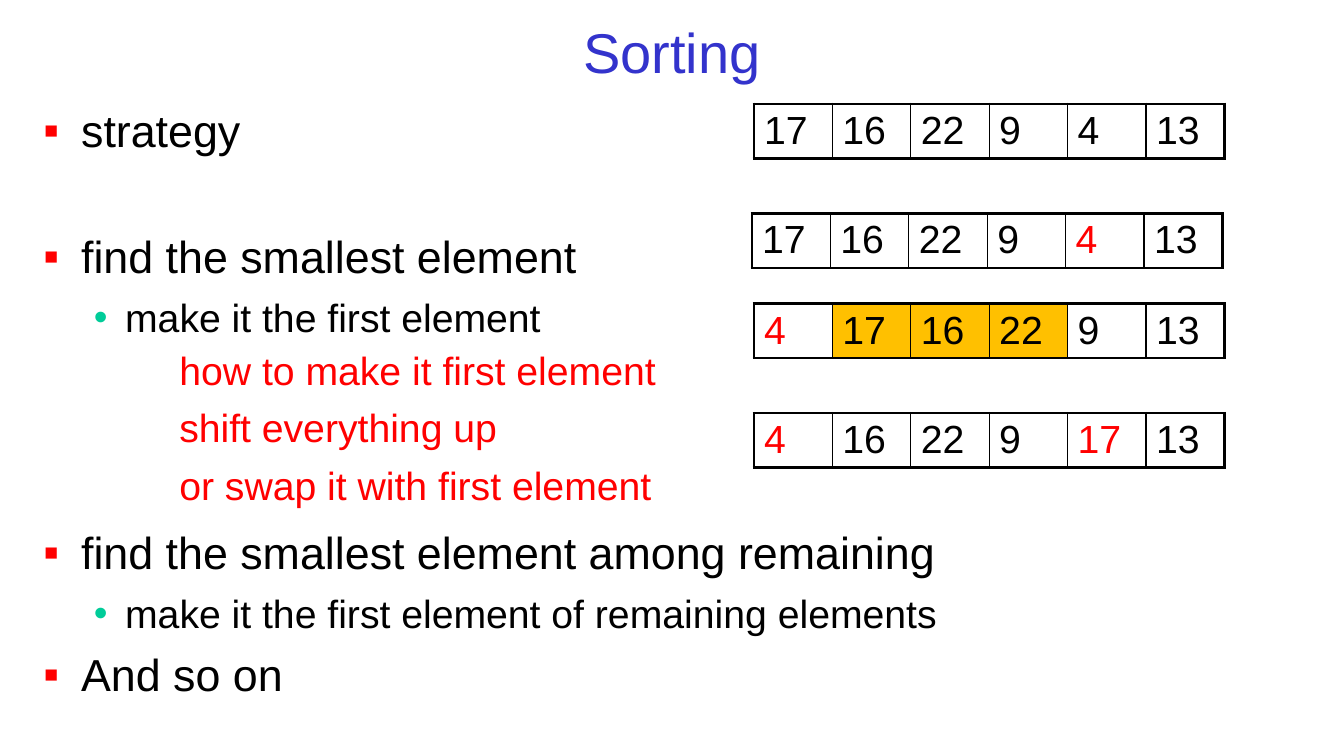
import dataclasses

import lxml.etree
import pptx
import pptx.dml.color
import pptx.enum.text
import pptx.oxml.ns
import pptx.util

Cm, Pt = pptx.util.Cm, pptx.util.Pt
qn = pptx.oxml.ns.qn


@dataclasses.dataclass(frozen=True)
class Theme:
    """Font, colours and type sizes of the slide."""
    face: str = "Arial"
    blue: str = "3333CC"
    black: str = "000000"
    red: str = "FF0000"
    green: str = "00CC99"
    gold: str = "FFC000"
    title: int = 40
    main: int = 32
    sub: int = 28


theme = Theme()


def style(para, size, tint):
    """Set the face, size and colour of a paragraph."""
    para.font.name = theme.face
    para.font.size = Pt(size)
    para.font.color.rgb = pptx.dml.color.RGBColor.from_string(tint)


def paint(node, tag, tint, **attrs):
    """Add a child holding a colour; a line gets a solid fill around it."""
    child = lxml.etree.SubElement(node, qn(tag), **attrs)
    if attrs:
        child = lxml.etree.SubElement(child, qn("a:solidFill"))
    lxml.etree.SubElement(child, qn("a:srgbClr"), val=tint)


deck = pptx.Presentation()
deck.slide_width, deck.slide_height = Cm(33.87), Cm(19.05)
slide = deck.slides.add_slide(deck.slide_layouts[1])

# Title
title = slide.shapes.title
title.left, title.top, title.width, title.height = Cm(0.84), Cm(0.43), Cm(32.18), Cm(1.7)
title.text_frame.text = "Sorting"
title.text_frame.vertical_anchor = pptx.enum.text.MSO_ANCHOR.MIDDLE
head = title.text_frame.paragraphs[0]
head.alignment = pptx.enum.text.PP_ALIGN.CENTER
style(head, theme.title, theme.blue)

# Bullet list: text, level, space before
steps = [
    ("strategy", 0, 0),
    ("find the smallest element", 0, 51.8),
    ("make it the first element", 1, 7.6),
    ("find the smallest element among remaining", 0, 131.6),
    ("make it the first element of remaining elements", 1, 7.6),
    ("And so on", 0, 7.6),
]
# Size, mark, mark colour, margin and hang of each level
levels = [
    (theme.main, "▪", theme.red, Cm(0.95), Cm(0.95)),
    (theme.sub, "•", theme.green, Cm(2.06), Cm(0.79)),
]
body = slide.placeholders[1]
body.left, body.top, body.width, body.height = Cm(0.84), Cm(2.34), Cm(32.18), Cm(15.42)
frame = body.text_frame
frame.auto_size = pptx.enum.text.MSO_AUTO_SIZE.NONE
frame.margin_top = Cm(0.25)
frame.text = "\n".join(text for text, level, gap in steps)
for para, (text, level, gap) in zip(frame.paragraphs, steps):
    size, mark, tint, margin, hang = levels[level]
    para.level = level
    para.space_before = Pt(gap)
    props = para._p.get_or_add_pPr()
    props.set("marL", str(margin))
    props.set("indent", str(-hang))
    paint(props, "a:buClr", tint)
    lxml.etree.SubElement(props, qn("a:buFont"), typeface=theme.face)
    lxml.etree.SubElement(props, qn("a:buChar"), char=mark)
    style(para, size, theme.black)

# Number rows: left, top, values, red columns, gold columns
rows = [
    (19, 2.62, (17, 16, 22, 9, 4, 13), (), ()),
    (18.95, 5.38, (17, 16, 22, 9, 4, 13), (4,), ()),
    (19, 7.65, (4, 17, 16, 22, 9, 13), (0,), (1, 2, 3)),
    (19, 10.41, (4, 16, 22, 9, 17, 13), (0, 4), ()),
]
thick, thin = Pt(2.25), Pt(1)
for left, top, values, reds, golds in rows:
    count = len(values)
    table = slide.shapes.add_table(
        1, count, Cm(left), Cm(top), Cm(11.86), Cm(1.37)).table
    table.first_row = table.horz_banding = False
    for col, value in enumerate(values):
        cell = table.cell(0, col)
        cell.text = str(value)
        style(cell.text_frame.paragraphs[0], theme.sub,
              theme.red if col in reds else theme.black)
        edges = {
            "a:lnL": thick if col == 0 else thin,
            "a:lnR": thick if col == count - 1 else thin,
            "a:lnT": thick,
            "a:lnB": thick,
        }
        for tag, width in edges.items():
            paint(cell._tc.get_or_add_tcPr(), tag, theme.black, w=str(width))
        if col in golds:
            cell.fill.solid()
            cell.fill.fore_color.rgb = pptx.dml.color.RGBColor.from_string(theme.gold)
        else:
            cell.fill.background()

# Red hints, evenly spaced
hints = [
    ("how to make it first element", 12.67),
    ("shift everything up", 8.61),
    ("or swap it with first element", 12.55),
]
for row, (text, width) in enumerate(hints):
    box = slide.shapes.add_textbox(
        Cm(4.27), Cm(8.59 + 1.45 * row), Cm(width), Cm(1.45))
    box.text_frame.word_wrap = False
    box.text_frame.text = text
    style(box.text_frame.paragraphs[0], theme.sub, theme.red)

deck.save("out.pptx")
